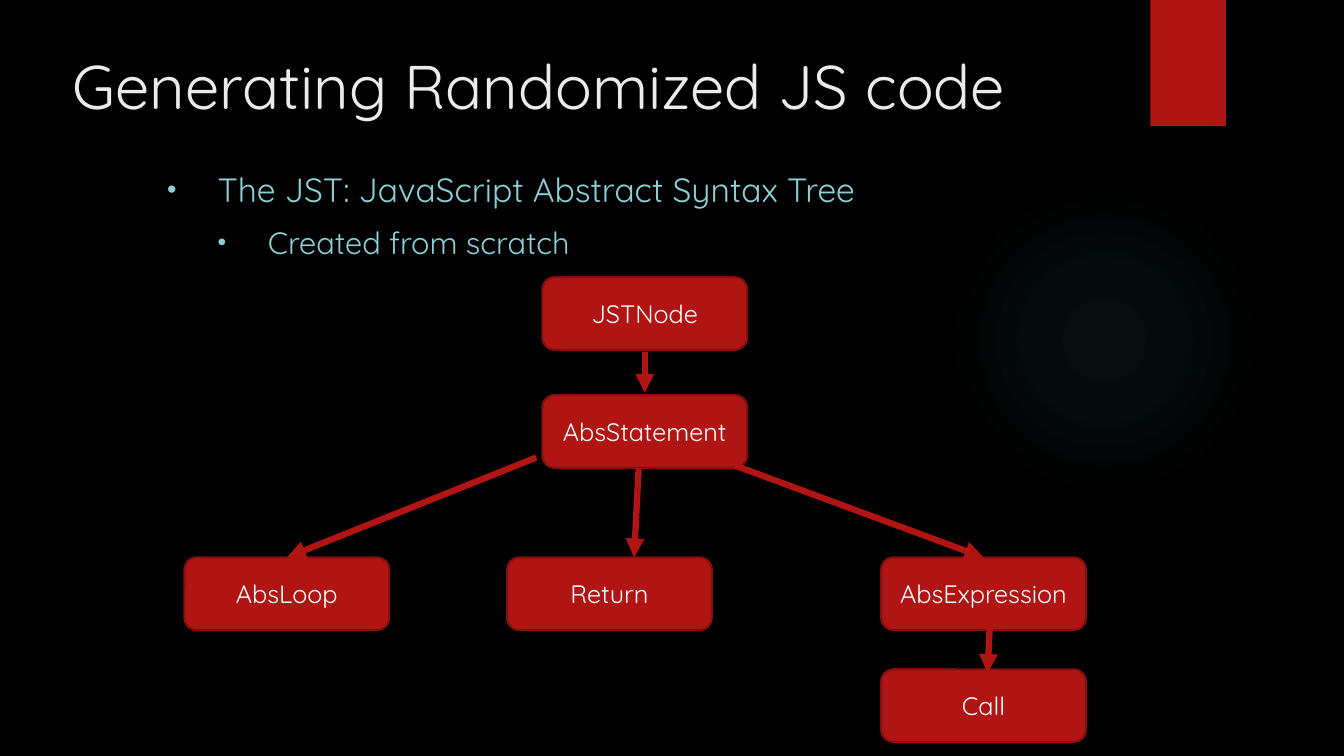
from dataclasses import dataclass

from lxml import etree
from pptx import Presentation
from pptx.dml.color import RGBColor
from pptx.enum.shapes import MSO_CONNECTOR, MSO_SHAPE
from pptx.enum.text import MSO_ANCHOR, MSO_AUTO_SIZE, PP_ALIGN
from pptx.oxml import parse_xml
from pptx.oxml.ns import nsdecls, qn
from pptx.util import Inches, Pt

ELLIPSE, RECTANGLE = MSO_SHAPE.OVAL, MSO_SHAPE.RECTANGLE
ROUNDED = MSO_SHAPE.ROUNDED_RECTANGLE
STRAIGHT = MSO_CONNECTOR.STRAIGHT
BOTTOM, MIDDLE, TOP = MSO_ANCHOR.BOTTOM, MSO_ANCHOR.MIDDLE, MSO_ANCHOR.TOP
LEFT, CENTER = PP_ALIGN.LEFT, PP_ALIGN.CENTER
NO_AUTOFIT = MSO_AUTO_SIZE.NONE
TITLE_ONLY = 5


@dataclass(frozen=True)
class Theme:
    font: str = "Quicksand"
    background: str = "000000"
    title: str = "EBEBEB"
    bullet: str = "8AD0D6"
    accent: str = "B01513"
    outline: str = "82100E"
    node_text: str = "FFFFFF"
    glow: str = "50B9C1"
    title_size: int = 44
    bullet_sizes: tuple = (24, 22)
    node_size: int = 18


THEME = Theme()

# Tree grid, in inches
COLUMNS = {"left": 1.83, "middle": 5.03, "trunk": 5.38, "right": 8.74}
ROWS = (2.75, 3.92, 5.53, 6.64)
NODE_WIDTH, NODE_HEIGHT = 2.03, 0.72

NODES = {
    "JSTNode": ("trunk", 0),
    "AbsStatement": ("trunk", 1),
    "AbsLoop": ("left", 2),
    "Return": ("middle", 2),
    "AbsExpression": ("right", 2),
    "Call": ("right", 3),
}
# Parent, child, then the arrow's ends as shares of each node's width and height
EDGES = (
    ("JSTNode", "AbsStatement", (0.5, 1.03), (0.5, -0.03)),
    ("AbsStatement", "AbsLoop", (-0.03, 0.86), (0.5, 0)),
    ("AbsStatement", "Return", (0.47, 1.01), (0.62, 0)),
    ("AbsStatement", "AbsExpression", (0.94, 0.97), (0.5, 0)),
    ("AbsExpression", "Call", (0.53, 0.96), (0.52, 0.05)),
)
BULLETS = ("The JST: JavaScript Abstract Syntax Tree", "Created from scratch")


def color(value):
    return RGBColor.from_string(value)


def style_text(para, size, value, align):
    para.alignment = align
    for span in para.runs:
        span.font.name = THEME.font
        span.font.size = Pt(size)
        span.font.color.rgb = color(value)


def add_block(slide, kind, left, top, width, height, fill=THEME.accent):
    block = slide.shapes.add_shape(
        kind, Inches(left), Inches(top), Inches(width), Inches(height))
    block.shadow.inherit = False
    block.fill.solid()
    block.fill.fore_color.rgb = color(fill)
    block.line.fill.background()
    return block


def add_glow(slide):
    glow = add_block(slide, ELLIPSE, 9.41, 1.83, 3.08, 3.08, THEME.glow)
    stops = "".join(
        f'<a:gs pos="{place * 1000}"><a:srgbClr val="{THEME.glow}">'
        f'<a:alpha val="{alpha * 1000}"/></a:srgbClr></a:gs>'
        for place, alpha in ((0, 7), (36, 6), (69, 0)))
    gradient = parse_xml(
        f'<a:gradFill {nsdecls("a")}><a:gsLst>{stops}</a:gsLst>'
        '<a:path path="circle">'
        '<a:fillToRect l="50000" t="50000" r="50000" b="50000"/>'
        '</a:path></a:gradFill>')
    properties = glow._element.spPr
    properties.replace(properties.find(qn("a:solidFill")), gradient)


def set_title(slide, text):
    title = slide.shapes.title
    title.left, title.top = Inches(0.62), Inches(-0.15)
    title.width, title.height = Inches(10.53), Inches(2.14)
    frame = title.text_frame
    frame.text = text
    frame.auto_size = NO_AUTOFIT
    frame.vertical_anchor = BOTTOM
    frame.margin_bottom = Inches(0.78)
    style_text(frame.paragraphs[0], THEME.title_size, THEME.title, LEFT)


def set_bullet(para, indent):
    properties = para._p.get_or_add_pPr()
    properties.set("marL", str(Inches(indent)))
    properties.set("indent", str(Inches(-0.5)))
    bullet_color = etree.SubElement(properties, qn("a:buClr"))
    etree.SubElement(bullet_color, qn("a:srgbClr"), val=THEME.bullet)
    etree.SubElement(properties, qn("a:buSzPct"), val="80000")
    etree.SubElement(properties, qn("a:buFont"), typeface="Arial")
    etree.SubElement(properties, qn("a:buChar"), char="•")


def add_bullets(slide, lines):
    """Add one bullet a line, each a level deeper than the one before."""
    box = slide.shapes.add_textbox(
        Inches(1.06), Inches(1.15), Inches(9.13), Inches(5.6))
    frame = box.text_frame
    frame.word_wrap = True
    frame.vertical_anchor = TOP
    frame.margin_top = Inches(0.53)
    frame.text = "\n".join(lines)
    for level, para in enumerate(frame.paragraphs):
        para.level = level + 1
        para.space_before = Pt(10 if level else 0)
        style_text(para, THEME.bullet_sizes[level], THEME.bullet, LEFT)
        set_bullet(para, 1 + level * 0.5)


def add_node(slide, name):
    column, row = NODES[name]
    node = add_block(
        slide, ROUNDED, COLUMNS[column], ROWS[row], NODE_WIDTH, NODE_HEIGHT)
    node.line.color.rgb = color(THEME.outline)
    node.line.width = Pt(1.5)
    frame = node.text_frame
    frame.text = name
    frame.vertical_anchor = MIDDLE
    style_text(frame.paragraphs[0], THEME.node_size, THEME.node_text, CENTER)


def point_on(name, shares):
    column, row = NODES[name]
    across, down = shares
    return (Inches(COLUMNS[column] + across * NODE_WIDTH),
            Inches(ROWS[row] + down * NODE_HEIGHT))


def add_arrow(slide, parent, child, start, end):
    arrow = slide.shapes.add_connector(
        STRAIGHT, *point_on(parent, start), *point_on(child, end))
    arrow.line.color.rgb = color(THEME.accent)
    arrow.line.width = Pt(4.5)
    etree.SubElement(arrow.line._get_or_add_ln(), qn("a:tailEnd"), type="triangle")
    etree.SubElement(arrow._element.spPr, qn("a:effectLst"))


def main():
    deck = Presentation()
    deck.slide_width, deck.slide_height = Inches(13.33), Inches(7.5)
    slide = deck.slides.add_slide(deck.slide_layouts[TITLE_ONLY])
    slide.background.fill.solid()
    slide.background.fill.fore_color.rgb = color(THEME.background)

    add_glow(slide)
    add_block(slide, RECTANGLE, 11.41, 0, 0.75, 1.25)
    set_title(slide, "Generating Randomized JS code")
    add_bullets(slide, BULLETS)
    for name in NODES:
        add_node(slide, name)
    for edge in EDGES:
        add_arrow(slide, *edge)
    deck.save("out.pptx")


if __name__ == "__main__":
    main()
